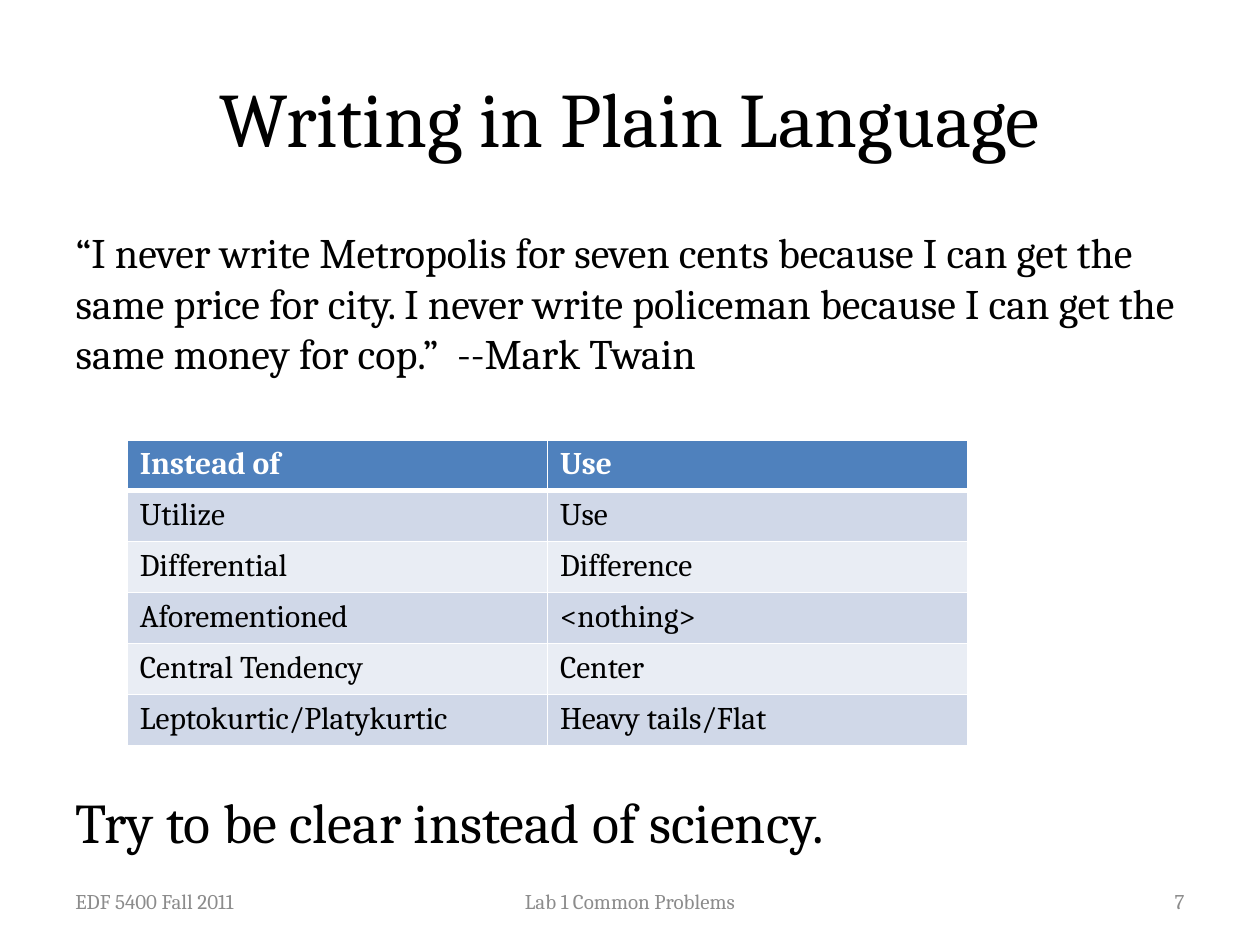
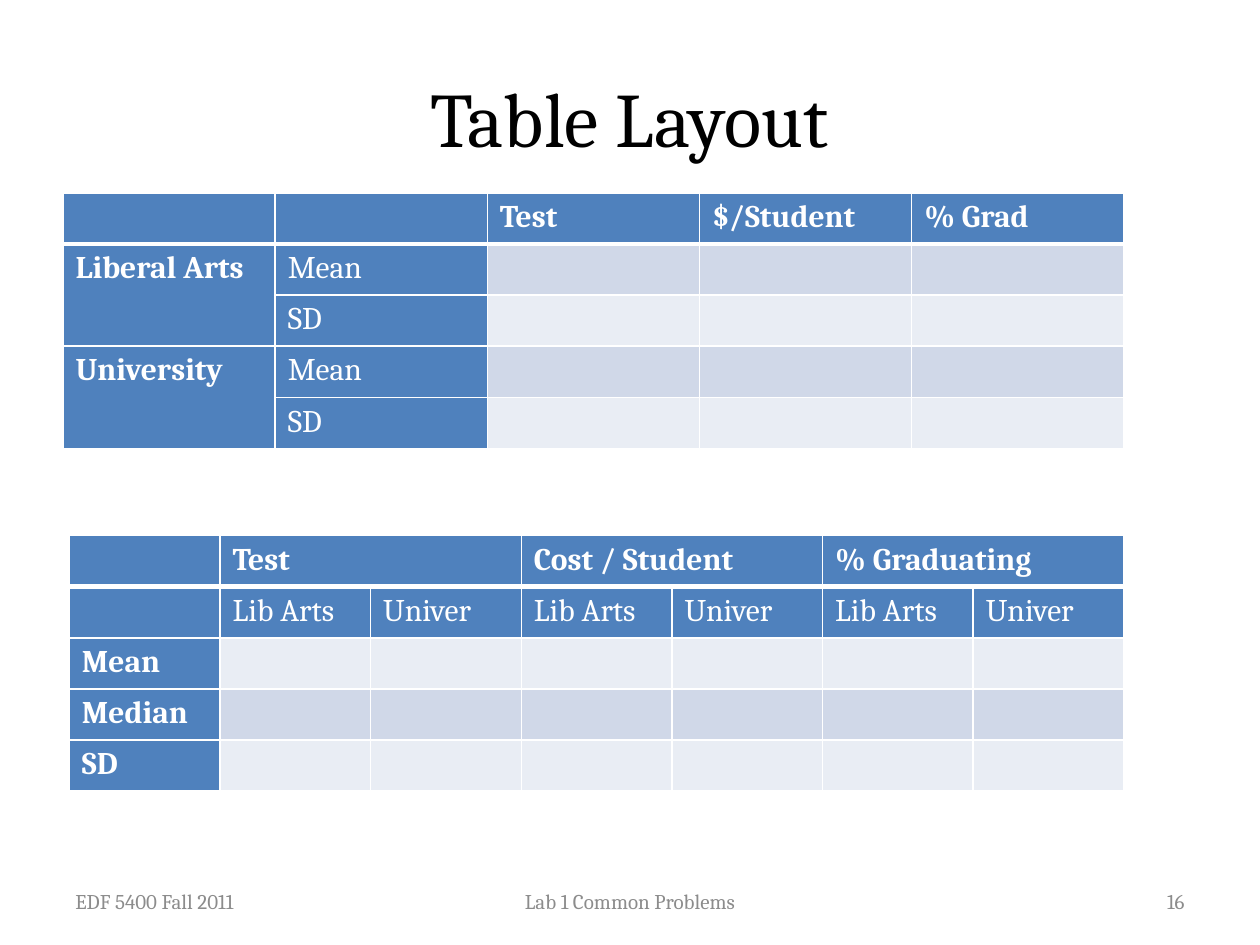
from pptx import Presentation
from pptx.util import Inches, Pt
from pptx.dml.color import RGBColor
from pptx.enum.text import PP_ALIGN, MSO_ANCHOR, MSO_AUTO_SIZE
from pptx.oxml.ns import qn
from lxml.etree import SubElement

FONT = "Cambria"
BLACK = RGBColor(0, 0, 0)
WHITE = RGBColor(0xFF, 0xFF, 0xFF)
GREY = RGBColor(0x8C, 0x8C, 0x8C)
BLUE = RGBColor(0x4F, 0x81, 0xBD)
BANDS = RGBColor(0xE9, 0xED, 0xF4), RGBColor(0xD0, 0xD8, 0xE8)
EDGE = 0.5
WIDE = 9
TITLE = (EDGE, 0.3, WIDE, 1.25)
BODY = (EDGE, 1.75, WIDE, 4.95)
FOOT = (EDGE, 6.95, WIDE, 0.4)


def place(shape, box):
    """Move a shape to a box given in inches."""
    shape.left, shape.top, shape.width, shape.height = map(Inches, box)


def style(para, size, color, align=PP_ALIGN.LEFT, bold=False):
    """Set the font and alignment of a paragraph."""
    para.alignment = align
    font = para.font
    font.name, font.size, font.bold = FONT, Pt(size), bold
    font.color.rgb = color


def write(shape, text, size, color, align=PP_ALIGN.LEFT, anchor=MSO_ANCHOR.TOP):
    """Fill a shape with one wrapped paragraph."""
    frame = shape.text_frame
    frame.text = text
    frame.word_wrap = True
    frame.auto_size = MSO_AUTO_SIZE.NONE
    frame.vertical_anchor = anchor
    style(frame.paragraphs[0], size, color, align)


def add_text(slide, box, *args):
    """Add a text box to a slide."""
    write(slide.shapes.add_textbox(*map(Inches, box)), *args)


def add_foot(slide, box, number):
    """Add the course, topic and page number along the foot."""
    left, top, width, height = box
    side, mid = 2.33, 3.17
    parts = (
        ("EDF 5400 Fall 2011", left, side, PP_ALIGN.LEFT),
        ("Lab 1 Common Problems", left + (width - mid) / 2, mid, PP_ALIGN.CENTER),
        (str(number), left + width - side, side, PP_ALIGN.RIGHT),
    )
    for text, x, wide, align in parts:
        add_text(slide, (x, top, wide, height), text, 12, GREY, align, MSO_ANCHOR.MIDDLE)


def add_slide(deck, layout, title, number):
    """Start a slide with its title and footer."""
    slide = deck.slides.add_slide(deck.slide_layouts[layout])
    place(slide.shapes.title, TITLE)
    write(slide.shapes.title, title, 44, BLACK, PP_ALIGN.CENTER, MSO_ANCHOR.MIDDLE)
    add_foot(slide, FOOT, number)
    return slide


def rule_cell(cell, row):
    """Draw white cell borders, thick below the top row."""
    props = cell._tc.get_or_add_tcPr()
    thick = {"T": row == 1, "B": row == 0}
    for side in "LRTB":
        width = Pt(3 if thick.get(side) else 1)
        line = SubElement(props, qn("a:ln" + side), w=str(width))
        fill = SubElement(line, qn("a:solidFill"))
        SubElement(fill, qn("a:srgbClr"), val=str(WHITE))


def add_grid(slide, box, rows, tops=1, sides=0, spans=()):
    """Add a banded table with header rows, header columns and merged cells."""
    grid = slide.shapes.add_table(len(rows), len(rows[0]), *map(Inches, box)).table
    for r, row in enumerate(rows):
        for c, text in enumerate(row):
            cell = grid.cell(r, c)
            head = r < tops or c < sides
            bold = r == 0 or c < min(sides, 1)
            cell.text = text
            style(cell.text_frame.paragraphs[0], 18, WHITE if head else BLACK, bold=bold)
            rule_cell(cell, r)
            cell.fill.solid()
            cell.fill.fore_color.rgb = BLUE if head else BANDS[r % 2]
    for first, last in spans:
        grid.cell(*first).merge(grid.cell(*last))


def plain_slide(deck):
    """Build the slide on plain wording."""
    slide = add_slide(deck, 1, "Writing in Plain Language", 7)
    body = slide.placeholders[1]
    place(body, BODY)
    write(body, "“I never write Metropolis for seven cents because I can get the "
          "same price for city. I never write policeman because I can get the "
          "same money for cop.”  --Mark Twain", 24, BLACK)
    props = body.text_frame.paragraphs[0]._p.get_or_add_pPr()
    props.set("marL", "0")
    props.set("indent", "0")
    props.insert(0, props.makeelement(qn("a:buNone")))
    add_grid(slide, (1.01, 3.49, 6.67, 2.43), [
        ("Instead of", "Use"),
        ("Utilize", "Use"),
        ("Differential", "Difference"),
        ("Aforementioned", "<nothing>"),
        ("Central Tendency", "Center"),
        ("Leptokurtic/Platykurtic", "Heavy tails/Flat"),
    ])
    add_text(slide, (EDGE, 6.2, 8.17, 0.64), "Try to be clear instead of sciency.", 32, BLACK)


def layout_slide(deck):
    """Build the slide with two ways to lay out a table."""
    slide = add_slide(deck, 5, "Table Layout", 16)
    blank = ("",) * 3
    add_grid(slide, (EDGE, 1.53, 8.42, 2.03), [
        ("", "", "Test", "$/Student", "% Grad"),
        ("Liberal Arts", "Mean", *blank),
        ("", "SD", *blank),
        ("University", "Mean", *blank),
        ("", "SD", *blank),
    ], sides=2, spans=[((r, 0), (r + 1, 0)) for r in (1, 3)])
    add_grid(slide, (0.55, 4.25, 8.37, 2.03), [
        ("", "Test", "", "Cost / Student", "", "% Graduating", ""),
        ("", *("Lib Arts", "Univer") * 3),
        *((name, *blank * 2) for name in ("Mean", "Median", "SD")),
    ], tops=2, sides=1, spans=[((0, c), (0, c + 1)) for c in (1, 3, 5)])


deck = Presentation()
deck.slide_width, deck.slide_height = Inches(10), Inches(7.5)
plain_slide(deck)
layout_slide(deck)
deck.save("out.pptx")
